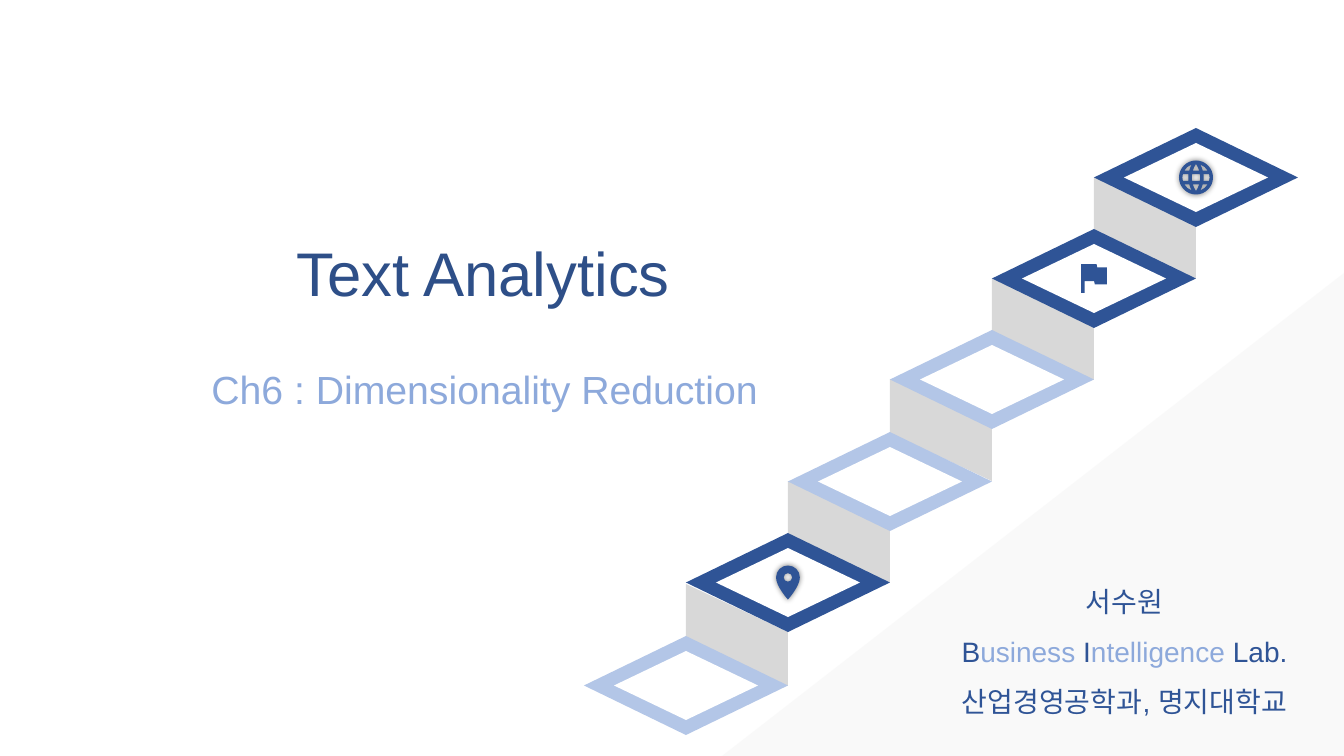
from dataclasses import dataclass

from lxml import etree
from pptx import Presentation
from pptx.dml.color import RGBColor
from pptx.enum.shapes import MSO_SHAPE
from pptx.enum.text import MSO_ANCHOR, MSO_AUTO_SIZE, PP_ALIGN
from pptx.oxml.ns import qn
from pptx.util import Emu, Pt

DIAMOND = MSO_SHAPE.DIAMOND
RISER = MSO_SHAPE.PARALLELOGRAM
WEDGE = MSO_SHAPE.RIGHT_TRIANGLE
MIDDLE = MSO_ANCHOR.MIDDLE
GROW = MSO_AUTO_SIZE.SHAPE_TO_FIT_TEXT
CENTER = PP_ALIGN.CENTER

SCALE = 914400 / 100.8
GRID = 0.17
TITLE_ONLY = 5

Outline = list[tuple[int, ...]]
Line = list[tuple[str, str]]


@dataclass(frozen=True)
class Theme:
    font: str = "Arial"
    navy: str = "2F5496"
    title: str = "2E4F88"
    sky: str = "8DA9DB"
    pale: str = "B3C6E7"
    gray: str = "D8D8D8"
    mist: str = "F2F2F2"
    white: str = "FFFFFF"
    black: str = "000000"
    large: int = 44
    medium: int = 28
    small: int = 20


@dataclass(frozen=True)
class Box:
    left: int
    top: int
    width: int
    height: int

    def inset(self, dx: int, dy: int) -> "Box":
        return Box(self.left + dx, self.top + dy, self.width - 2 * dx, self.height - 2 * dy)


@dataclass(frozen=True)
class Icon:
    outlines: list[Outline]
    glow: bool = False


@dataclass(frozen=True)
class Stair:
    color: str
    drop: int = 0
    icon: Icon | None = None
    riser: bool = True
    sink: int = 0


THEME = Theme()


def px(value: float) -> Emu:
    return Emu(round(value * SCALE))


def place(box: Box) -> tuple[Emu, Emu, Emu, Emu]:
    return px(box.left), px(box.top), px(box.width), px(box.height)


def flip(outline: Outline, sx: int, sy: int) -> Outline:
    signs = (sx, sy) * 3
    return [tuple(v * s for v, s in zip(part, signs)) for part in outline]


def circle(r: int, y: int = 0) -> Outline:
    k = round(r * 0.55)
    return [
        (0, y - r),
        (-k, y - r, -r, y - k, -r, y),
        (-r, y + k, -k, y + r, 0, y + r),
        (k, y + r, r, y + k, r, y),
        (r, y - k, k, y - r, 0, y - r),
    ]


def bend(shape, outlines: list[Outline]) -> None:
    parts = [part for outline in outlines for part in outline]
    left = min(part[-2] for part in parts)
    top = min(part[-1] for part in parts)
    steps = [node for node in shape._element.iter(qn("a:moveTo"), qn("a:lnTo"))]
    for node, part in zip(steps, parts):
        if len(part) == 6:
            node.clear()
            curve = etree.Element(qn("a:cubicBezTo"))
            for x, y in zip(part[::2], part[1::2]):
                etree.SubElement(curve, qn("a:pt"), x=str(x - left), y=str(y - top))
            node.getparent().replace(node, curve)


def paint(shape, color: str, alpha: int = 100) -> None:
    shape.shadow.inherit = False
    shape.line.fill.background()
    shape.fill.solid()
    shape.fill.fore_color.rgb = RGBColor.from_string(color)
    if alpha < 100:
        tone = shape.fill._xPr.find(f".//{qn('a:srgbClr')}")
        etree.SubElement(tone, qn("a:alpha"), val=str(alpha * 1000))


def draw(shapes, kind, box: Box, color: str, alpha: int = 100):
    shape = shapes.add_shape(kind, *place(box))
    paint(shape, color, alpha)
    return shape


def stamp(shapes, icon: Icon, x: float, y: float) -> None:
    first, *rest = [[part[-2:] for part in outline] for outline in icon.outlines]
    pen = shapes.build_freeform(*first[0], scale=GRID * SCALE)
    pen.add_line_segments(first[1:], close=False)
    for points in rest:
        pen.move_to(*points[0])
        pen.add_line_segments(points[1:], close=False)
    shape = pen.convert_to_shape(px(x), px(y))
    bend(shape, icon.outlines)
    paint(shape, THEME.navy)
    if icon.glow:
        effects = shape._element.spPr.find(qn("a:effectLst"))
        shade = etree.SubElement(effects, qn("a:outerShdw"), blurRad=str(Pt(4)), dist="0", dir="0")
        tone = etree.SubElement(shade, qn("a:srgbClr"), val=THEME.black)
        etree.SubElement(tone, qn("a:alpha"), val="45000")


def write(shape, box: Box, lines: list[Line], *, size: int, spacing: float = 1.0) -> None:
    shape.left, shape.top, shape.width, shape.height = place(box)
    frame = shape.text_frame
    frame.word_wrap = True
    frame.auto_size = GROW
    frame.vertical_anchor = MIDDLE
    frame.margin_left = frame.margin_right = frame.margin_top = frame.margin_bottom = 0
    for i, line in enumerate(lines):
        para = frame.add_paragraph() if i else frame.paragraphs[0]
        para.alignment = CENTER
        para.line_spacing = spacing
        for text, color in line:
            run = para.add_run()
            run.text = text
            run.font.name = THEME.font
            run.font.size = Pt(size)
            run.font.color.rgb = RGBColor.from_string(color)


def climb(shapes, stairs: list[Stair]) -> None:
    for i, stair in enumerate(stairs):
        tile = Box(1094 - 102 * i, 128 + 101 * i + stair.drop, 204, 99)
        if stair.riser:
            spot = Box(tile.left, tile.top + 49 + stair.sink, 102, 102)
            riser = draw(shapes, RISER, spot, THEME.gray)
            riser.rotation = 270
            riser.adjustments[0] = 0.47
        draw(shapes, DIAMOND, tile, stair.color)
        draw(shapes, DIAMOND, tile.inset(30, 15), THEME.white)
        if stair.icon:
            stamp(shapes, stair.icon, tile.left + tile.width / 2, tile.top + tile.height / 2)


CORNER = [(69, -40), (40, -40), (36, -52, 32, -64, 26, -76), (44, -69, 60, -56, 69, -40)]
CAP = [(0, -80), (8, -68, 15, -54, 19, -40), (-19, -40), (-15, -54, -8, -68, 0, -80)]
SIDE = [(-77, 20), (-79, 14, -80, 7, -80, 0), (-80, -7, -79, -14, -77, -20),
        (-44, -20), (-44, -13, -45, -7, -45, 0), (-45, 7, -44, 13, -44, 20), (-77, 20)]
CORE = [(23, 20), (-23, 20), (-24, 13, -25, 7, -25, 0), (-25, -7, -24, -13, -23, -20),
        (23, -20), (24, -13, 25, -7, 25, 0), (25, 7, 24, 13, 23, 20)]
DROP = [(0, -100), (-39, -100, -70, -69, -70, -30), (-70, 23, 0, 100, 0, 100),
        (0, 100, 70, 23, 70, -30), (70, -69, 39, -100, 0, -100)]
BANNER = [(19, -65), (15, -85), (-75, -85), (-75, 85), (-55, 85),
          (-55, 15), (1, 15), (5, 35), (75, 35), (75, -65), (19, -65)]

GLOBE = Icon(
    [circle(100), CORE]
    + [flip(CORNER, sx, sy) for sx in (1, -1) for sy in (1, -1)]
    + [flip(CAP, 1, s) for s in (1, -1)]
    + [flip(SIDE, s, 1) for s in (1, -1)],
    glow=True,
)
PIN = Icon([DROP, circle(25, -30)], glow=True)
FLAG = Icon([BANNER])

STAIRS = [
    Stair(THEME.navy, icon=GLOBE),
    Stair(THEME.navy, icon=FLAG),
    Stair(THEME.pale),
    Stair(THEME.pale, drop=1),
    Stair(THEME.navy, drop=1, icon=PIN, sink=2),
    Stair(THEME.pale, drop=3, riser=False),
]

LAB = [
    [("서수원", THEME.navy)],
    [("B", THEME.navy), ("usiness ", THEME.sky), ("I", THEME.navy),
     ("ntelligence ", THEME.sky), ("Lab.", THEME.navy)],
    [("산업경영공학과, 명지대학교", THEME.navy)],
]
CHAPTER = [[("Ch6 : Dimensionality Reduction", THEME.sky)]]


def main() -> None:
    deck = Presentation()
    deck.slide_width, deck.slide_height = px(1344), px(756)
    slide = deck.slides.add_slide(deck.slide_layouts[TITLE_ONLY])
    shapes = slide.shapes
    wedge = draw(shapes, WEDGE, Box(722, 273, 622, 483), THEME.mist, alpha=40)
    wedge._element.spPr.xfrm.set("flipH", "1")
    climb(shapes.add_group_shape().shapes, STAIRS)
    write(shapes.title, Box(46, 234, 875, 75), [[("Text Analytics", THEME.title)]], size=THEME.large)
    for box, lines, size, spacing in (
        (Box(47, 365, 875, 47), CHAPTER, THEME.medium, 1.0),
        (Box(939, 567, 371, 152), LAB, THEME.small, 1.5),
    ):
        write(shapes.add_textbox(*place(box)), box, lines, size=size, spacing=spacing)
    deck.save("out.pptx")


if __name__ == "__main__":
    main()
